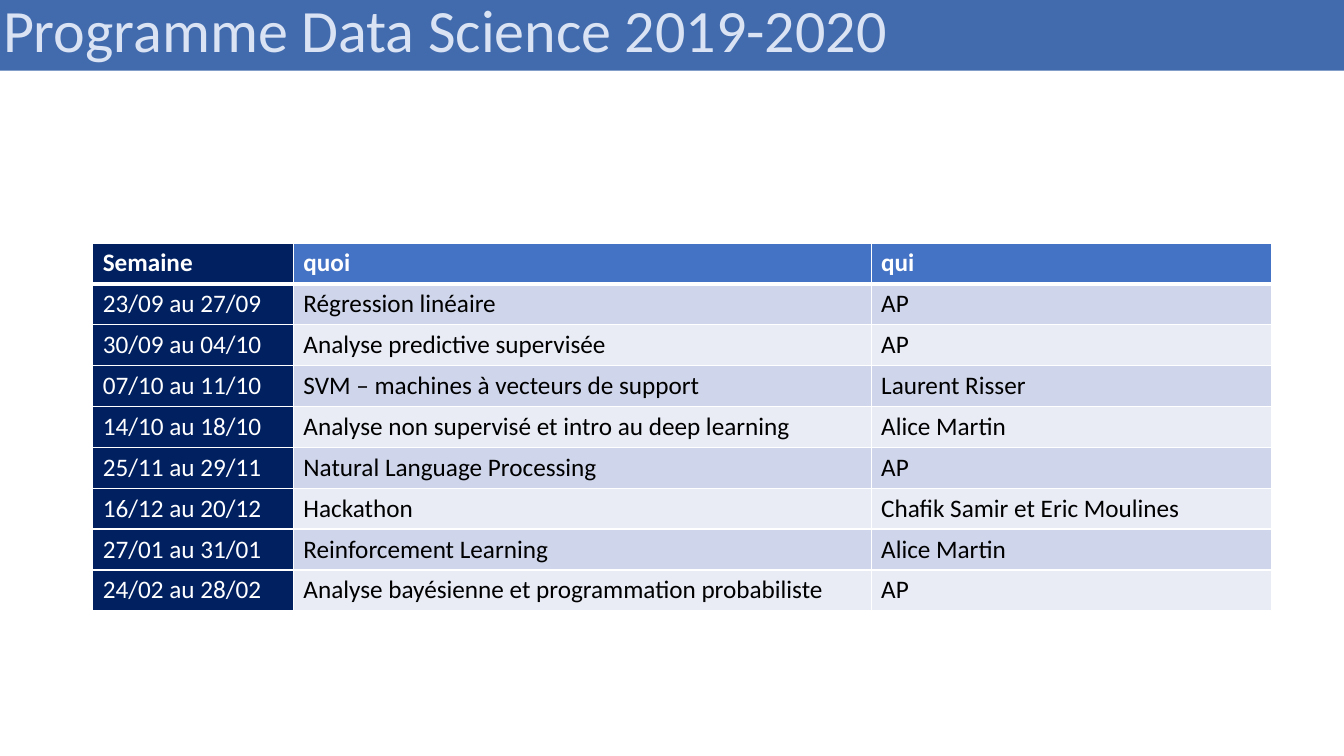
from dataclasses import dataclass
from lxml.etree import SubElement
from pptx import Presentation
from pptx.dml.color import RGBColor
from pptx.enum.shapes import MSO_SHAPE
from pptx.enum.text import MSO_ANCHOR, PP_ALIGN
from pptx.oxml.ns import qn
from pptx.util import Inches, Pt


@dataclass(frozen=True)
class Theme:
    font: str = "Calibri"
    white: str = "FFFFFF"
    black: str = "000000"
    navy: str = "002060"
    blue: str = "4472C4"
    banner: str = "426BAD"
    pale: str = "DAE3F3"
    bands: tuple = ("CFD5EA", "E9EBF5")
    title: float = 42.9
    body: float = 18
    thin: float = 1
    thick: float = 3


class Deck:
    def __init__(self, theme):
        self.theme = theme
        self.file = Presentation()
        self.file.slide_width = Inches(13.33)
        self.file.slide_height = Inches(7.5)
        self.slide = self.file.slides.add_slide(self.file.slide_layouts[6])

    def style(self, para, size, color, bold=False):
        for run in para.runs:
            run.font.name = self.theme.font
            run.font.size = Pt(size)
            run.font.bold = bold
            run.font.color.rgb = RGBColor.from_string(color)

    def banner(self, text, left, top, width, height):
        bar = self.slide.shapes.add_shape(
            MSO_SHAPE.RECTANGLE, Inches(left), Inches(top), Inches(width), Inches(height))
        bar.shadow.inherit = False
        bar.fill.solid()
        bar.fill.fore_color.rgb = RGBColor.from_string(self.theme.banner)
        bar.line.fill.background()
        frame = bar.text_frame
        frame.word_wrap = True
        frame.vertical_anchor = MSO_ANCHOR.MIDDLE
        frame.margin_left = frame.margin_right = Inches(0.04)
        frame.margin_top = frame.margin_bottom = 0
        frame.text = text
        para = frame.paragraphs[0]
        para.alignment = PP_ALIGN.LEFT
        para.line_spacing = 0.8
        self.style(para, self.theme.title, self.theme.pale)

    def border(self, cell, row):
        props = cell._tc.get_or_add_tcPr()
        heavy = {"lnB": 0, "lnT": 1}
        for spot, side in enumerate(("lnL", "lnR", "lnT", "lnB")):
            wide = self.theme.thick if heavy.get(side) == row else self.theme.thin
            line = SubElement(props, qn("a:" + side), w=str(Pt(wide)))
            fill = SubElement(line, qn("a:solidFill"))
            SubElement(fill, qn("a:srgbClr"), val=self.theme.white)
            props.insert(spot, line)

    def cell(self, cell, text, row, col):
        theme = self.theme
        head = row == 0
        if col == 0:
            color = theme.navy
        else:
            color = theme.blue if head else theme.bands[(row - 1) % 2]
        cell.fill.solid()
        cell.fill.fore_color.rgb = RGBColor.from_string(color)
        cell.text_frame.text = text
        ink = theme.white if head or col == 0 else theme.black
        self.style(cell.text_frame.paragraphs[0], theme.body, ink, head)
        self.border(cell, row)

    def table(self, rows, left, top, widths, height):
        grid = self.slide.shapes.add_table(
            len(rows), len(widths), Inches(left), Inches(top),
            Inches(sum(widths)), Inches(height)).table
        for col, width in zip(grid.columns, widths):
            col.width = Inches(width)
        for r, row in enumerate(rows):
            for c, text in enumerate(row):
                self.cell(grid.cell(r, c), text, r, c)

    def save(self):
        self.file.save("out.pptx")


def main():
    plan = [
        ("Semaine", "quoi", "qui"),
        ("23/09 au 27/09", "Régression linéaire", "AP"),
        ("30/09 au 04/10", "Analyse predictive supervisée", "AP"),
        ("07/10 au 11/10", "SVM – machines à vecteurs de support", "Laurent Risser"),
        ("14/10 au 18/10", "Analyse non supervisé et intro au deep learning", "Alice Martin"),
        ("25/11 au 29/11", "Natural Language Processing", "AP"),
        ("16/12 au 20/12", "Hackathon", "Chafik Samir et Eric Moulines"),
        ("27/01 au 31/01", "Reinforcement Learning", "Alice Martin"),
        ("24/02 au 28/02", "Analyse bayésienne et programmation probabiliste", "AP"),
    ]
    deck = Deck(Theme())
    deck.table(plan, 0.92, 2.41, (1.99, 5.73, 3.97), 3.65)
    deck.banner("Programme Data Science 2019-2020", -0.01, -0.01, 13.34, 0.71)
    deck.save()


if __name__ == "__main__":
    main()
